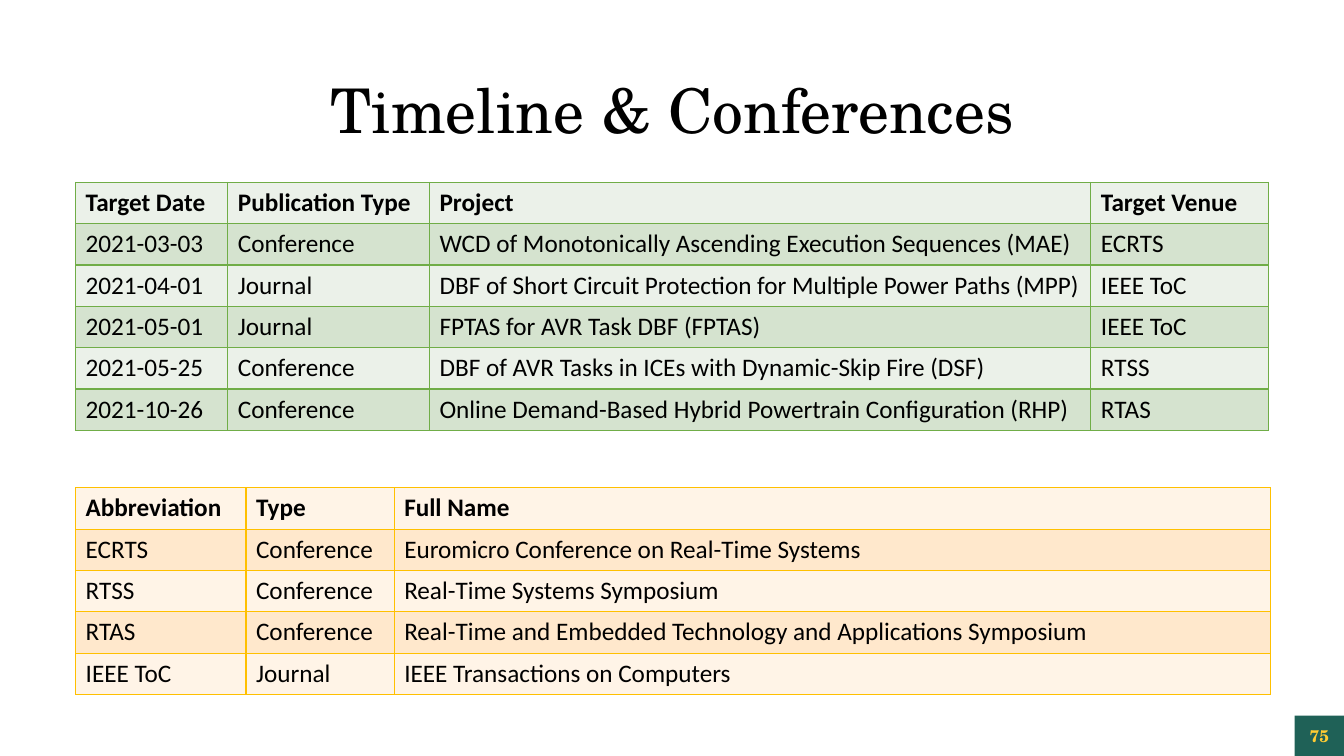
from pptx import Presentation
from pptx.dml.color import RGBColor
from pptx.enum.shapes import MSO_SHAPE
from pptx.enum.text import MSO_ANCHOR, MSO_AUTO_SIZE, PP_ALIGN
from pptx.oxml import parse_xml
from pptx.oxml.ns import nsdecls
from pptx.util import Inches, Pt

RECTANGLE = MSO_SHAPE.RECTANGLE
MIDDLE = MSO_ANCHOR.MIDDLE
NO_FIT = MSO_AUTO_SIZE.NONE
CENTER = PP_ALIGN.CENTER

BLACK = RGBColor(0x00, 0x00, 0x00)
TEAL = RGBColor(0x1F, 0x61, 0x57)
GOLD = RGBColor(0xFF, 0xCC, 0x33)
GREEN_LINE = RGBColor(0x70, 0xAD, 0x47)
GREEN_BANDS = RGBColor(0xEB, 0xF1, 0xE9), RGBColor(0xD5, 0xE3, 0xCF)
AMBER_LINE = RGBColor(0xFF, 0xC0, 0x00)
AMBER_BANDS = RGBColor(0xFF, 0xF4, 0xE7), RGBColor(0xFF, 0xE8, 0xCC)

TIMELINE = [
    ("Target Date", "Publication Type", "Project", "Target Venue"),
    ("2021-03-03", "Conference", "WCD of Monotonically Ascending Execution Sequences (MAE)", "ECRTS"),
    ("2021-04-01", "Journal", "DBF of Short Circuit Protection for Multiple Power Paths (MPP)", "IEEE ToC"),
    ("2021-05-01", "Journal", "FPTAS for AVR Task DBF (FPTAS)", "IEEE ToC"),
    ("2021-05-25", "Conference", "DBF of AVR Tasks in ICEs with Dynamic-Skip Fire (DSF)", "RTSS"),
    ("2021-10-26", "Conference", "Online Demand-Based Hybrid Powertrain Configuration (RHP)", "RTAS"),
]
VENUES = [
    ("Abbreviation", "Type", "Full Name"),
    ("ECRTS", "Conference", "Euromicro Conference on Real-Time Systems"),
    ("RTSS", "Conference", "Real-Time Systems Symposium"),
    ("RTAS", "Conference", "Real-Time and Embedded Technology and Applications Symposium"),
    ("IEEE ToC", "Journal", "IEEE Transactions on Computers"),
]


class SlideBuilder:
    """Adds styled elements to the current slide."""

    heading_font = "TeX Gyre Schola"
    table_font = "Calibri"
    table_left = 0.75
    row_height = 0.41

    def __init__(self, page):
        self.page = page

    def add_span(self, para, text, font, size, color, bold=False):
        span = para.add_run()
        span.text = text
        span.font.name = font
        span.font.size = Pt(size)
        span.font.color.rgb = color
        span.font.bold = bold

    def title(self, text):
        box = self.page.shapes.title
        box.left, box.top = Inches(0.92), Inches(0.4)
        box.width, box.height = Inches(11.5), Inches(1.45)
        frame = box.text_frame
        frame.auto_size = NO_FIT
        frame.word_wrap = True
        frame.vertical_anchor = MIDDLE
        para = frame.paragraphs[0]
        para.alignment = CENTER
        para.line_spacing = 0.9
        self.add_span(para, text, self.heading_font, 44, BLACK)

    def page_number(self, text):
        box = self.page.shapes.add_shape(
            RECTANGLE, Inches(12.84), Inches(7.1), Inches(0.49), Inches(0.4))
        box.shadow.inherit = False
        box.fill.solid()
        box.fill.fore_color.rgb = TEAL
        box.line.fill.background()
        frame = box.text_frame
        frame.margin_left = frame.margin_right = 0
        frame.vertical_anchor = MIDDLE
        para = frame.paragraphs[0]
        para.alignment = CENTER
        self.add_span(para, text, self.heading_font, 12, GOLD, bold=True)

    def borders(self, cell, color):
        properties = cell._tc.get_or_add_tcPr()
        for position, side in enumerate(("lnL", "lnR", "lnT", "lnB")):
            properties.insert(position, parse_xml(
                f'<a:{side} {nsdecls("a")} w="{Pt(1)}"><a:solidFill>'
                f'<a:srgbClr val="{color}"/></a:solidFill></a:{side}>'))

    def table(self, top, widths, rows, bands, line):
        frame = self.page.shapes.add_table(
            len(rows), len(widths), Inches(self.table_left), Inches(top),
            Inches(sum(widths)), Inches(self.row_height * len(rows)))
        table = frame.table
        table.first_row = table.horz_banding = False
        for column, width in zip(table.columns, widths):
            column.width = Inches(width)
        for index, (row, texts) in enumerate(zip(table.rows, rows)):
            row.height = Inches(self.row_height)
            for cell, text in zip(row.cells, texts):
                cell.fill.solid()
                cell.fill.fore_color.rgb = bands[index % 2]
                self.borders(cell, line)
                self.add_span(cell.text_frame.paragraphs[0], text,
                              self.table_font, 18, BLACK, bold=index == 0)


def main():
    deck = Presentation()
    deck.slide_width, deck.slide_height = Inches(13.33), Inches(7.5)
    builder = SlideBuilder(deck.slides.add_slide(deck.slide_layouts[5]))
    builder.title("Timeline & Conferences")
    builder.table(1.81, (1.51, 2, 6.56, 1.76), TIMELINE, GREEN_BANDS, GREEN_LINE)
    builder.page_number("75")
    builder.table(4.84, (1.69, 1.47, 8.69), VENUES, AMBER_BANDS, AMBER_LINE)
    deck.save("out.pptx")


if __name__ == "__main__":
    main()
